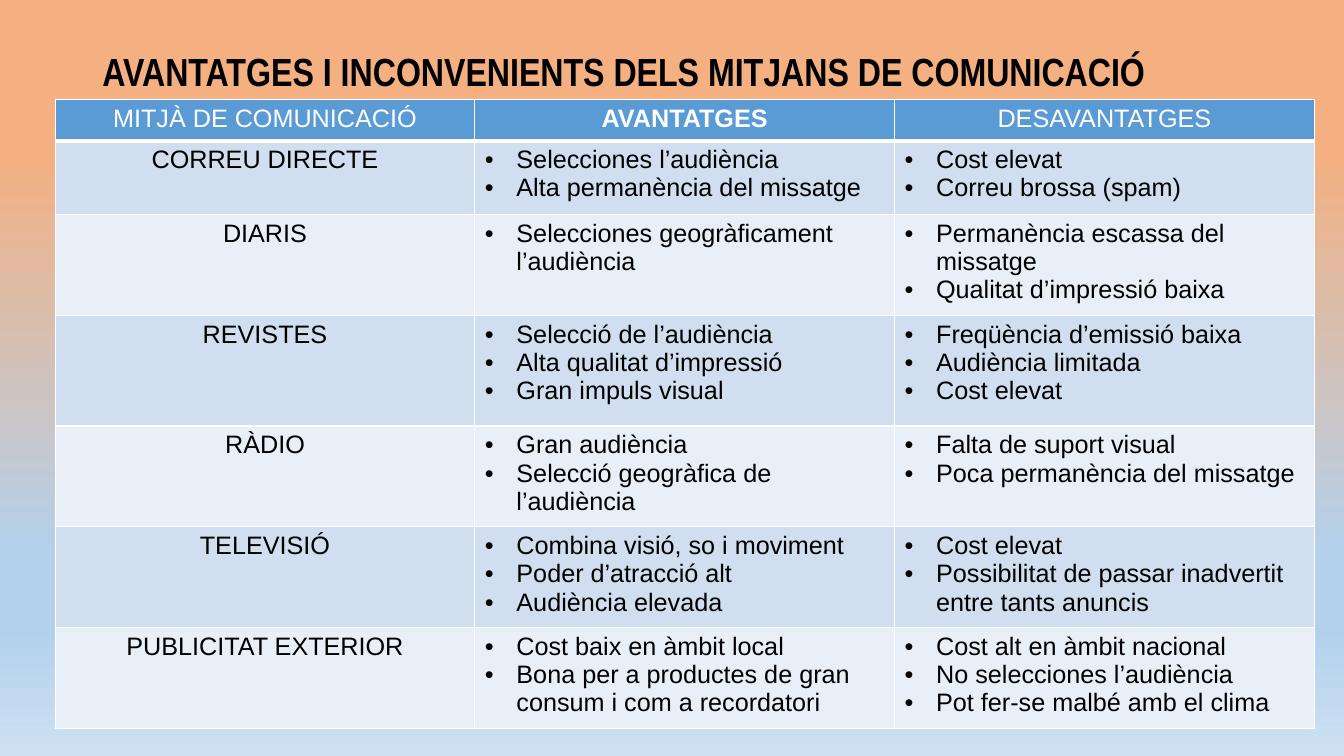
from dataclasses import dataclass

from lxml.etree import SubElement
from pptx import Presentation
from pptx.dml.color import RGBColor
from pptx.enum.text import MSO_VERTICAL_ANCHOR as Anchor, PP_PARAGRAPH_ALIGNMENT as Align
from pptx.oxml.ns import qn
from pptx.slide import Slide
from pptx.table import Table, _Cell as Cell
from pptx.util import Pt

BLACK = RGBColor(0x00, 0x00, 0x00)
WHITE = RGBColor(0xFF, 0xFF, 0xFF)
HEADER_BLUE = RGBColor(0x5B, 0x9B, 0xD5)
BANDS = (RGBColor(0xD0, 0xDE, 0xEF), RGBColor(0xE9, 0xEF, 0xF7))
ORANGE = RGBColor(0xF4, 0xB0, 0x81)
SKY = RGBColor(0xB3, 0xD1, 0xEC)
PALE_SKY = RGBColor(0xCC, 0xE0, 0xF2)
BACKGROUND_STOPS = ((0, ORANGE), (20, ORANGE), (74, SKY), (83, SKY), (100, PALE_SKY))

COLUMN_WIDTH = Pt(299.8)
HEADER_HEIGHT = Pt(29.5)
BULLET_INDENT = Pt(22.5)
THIN, THICK = Pt(1), Pt(3)
BODY_FONT = {"name": "Arial", "size": Pt(18)}


@dataclass
class Medium:
    name: str
    advantages: list[str]
    drawbacks: list[str]
    height: float


HEADINGS = ("MITJÀ DE COMUNICACIÓ", "AVANTATGES", "DESAVANTATGES")
MEDIA = [
    Medium("CORREU DIRECTE",
           ["Selecciones l’audiència", "Alta permanència del missatge"],
           ["Cost elevat", "Correu brossa (spam)"], 52.8),
    Medium("DIARIS",
           ["Selecciones geogràficament l’audiència"],
           ["Permanència escassa del missatge", "Qualitat d’impressió baixa"], 67.5),
    Medium("REVISTES",
           ["Selecció de l’audiència", "Alta qualitat d’impressió", "Gran impuls visual"],
           ["Freqüència d’emissió baixa", "Audiència limitada", "Cost elevat"], 79),
    Medium("RÀDIO",
           ["Gran audiència", "Selecció geogràfica de l’audiència"],
           ["Falta de suport visual", "Poca permanència del missatge"], 67.5),
    Medium("TELEVISIÓ",
           ["Combina visió, so i moviment", "Poder d’atracció alt", "Audiència elevada"],
           ["Cost elevat", "Possibilitat de passar inadvertit entre tants anuncis"], 67.5),
    Medium("PUBLICITAT EXTERIOR",
           ["Cost baix en àmbit local", "Bona per a productes de gran consum i com a recordatori"],
           ["Cost alt en àmbit nacional", "No selecciones l’audiència",
            "Pot fer-se malbé amb el clima"], 67.5),
]


def set_font(font, color: RGBColor, **values) -> None:
    for attribute, value in values.items():
        setattr(font, attribute, value)
    font.color.rgb = color


def paint_background(slide: Slide) -> None:
    fill = slide.background.fill
    fill.gradient()
    fill.gradient_angle = 270
    stops = slide.element.find(".//" + qn("a:gsLst"))
    for stop in list(stops):
        stops.remove(stop)
    for percent, color in BACKGROUND_STOPS:
        stop = SubElement(stops, qn("a:gs"), pos=str(percent * 1000))
        SubElement(stop, qn("a:srgbClr"), val=str(color))


def add_title(slide: Slide, text: str) -> None:
    title = slide.shapes.add_textbox(Pt(66), Pt(28.8), Pt(828), Pt(48)).text_frame
    title.word_wrap = True
    title.vertical_anchor = Anchor.MIDDLE
    line = title.paragraphs[0]
    line.text = text
    line.line_spacing = 0.9
    set_font(line.runs[0].font, BLACK, name="Arial Narrow", size=Pt(28), bold=True)


def add_bullet(paragraph) -> None:
    properties = paragraph._p.get_or_add_pPr()
    properties.set("marL", str(BULLET_INDENT))
    properties.set("indent", str(-BULLET_INDENT))
    bullet_color = SubElement(properties, qn("a:buClr"))
    SubElement(bullet_color, qn("a:srgbClr"), val=str(BLACK))
    SubElement(properties, qn("a:buFont"), typeface="Arial")
    SubElement(properties, qn("a:buChar"), char="•")


def fill_cell(cell: Cell, lines: list[str], fill: RGBColor, color: RGBColor,
              bulleted: bool = False, bold: bool = False,
              top: int = THIN, bottom: int = THIN) -> None:
    # Borders come before the fill
    borders = {"lnL": THIN, "lnR": THIN, "lnT": top, "lnB": bottom}
    for side, width in borders.items():
        border = SubElement(cell._tc.get_or_add_tcPr(), qn(f"a:{side}"), w=str(width))
        SubElement(SubElement(border, qn("a:solidFill")), qn("a:srgbClr"), val=str(WHITE))
    cell.fill.solid()
    cell.fill.fore_color.rgb = fill

    cell.text = "\n".join(lines)
    for paragraph in cell.text_frame.paragraphs:
        if bulleted:
            add_bullet(paragraph)
        else:
            paragraph.alignment = Align.CENTER
        set_font(paragraph.runs[0].font, color, bold=bold, **BODY_FONT)


def fill_table(table: Table) -> None:
    for column in table.columns:
        column.width = COLUMN_WIDTH
    # Header
    table.rows[0].height = HEADER_HEIGHT
    for column, heading in enumerate(HEADINGS):
        fill_cell(table.cell(0, column), [heading], HEADER_BLUE, WHITE,
                  bold=heading == "AVANTATGES", bottom=THICK)
    # One banded row per medium
    for row, medium in enumerate(MEDIA, start=1):
        table.rows[row].height = Pt(medium.height)
        band = BANDS[(row - 1) % 2]
        top = THICK if row == 1 else THIN
        for column, lines in enumerate(([medium.name], medium.advantages, medium.drawbacks)):
            fill_cell(table.cell(row, column), lines, band, BLACK, bulleted=column > 0, top=top)


def main() -> None:
    deck = Presentation()
    deck.slide_width, deck.slide_height = Pt(960), Pt(540)
    slide = deck.slides.add_slide(deck.slide_layouts[6])
    paint_background(slide)
    add_title(slide, "AVANTATGES I INCONVENIENTS DELS MITJANS DE COMUNICACIÓ")
    height = HEADER_HEIGHT + sum(Pt(medium.height) for medium in MEDIA)
    comparison = slide.shapes.add_table(len(MEDIA) + 1, len(HEADINGS), Pt(39.4), Pt(71),
                                        COLUMN_WIDTH * len(HEADINGS), height)
    fill_table(comparison.table)
    deck.save("out.pptx")


if __name__ == "__main__":
    main()
